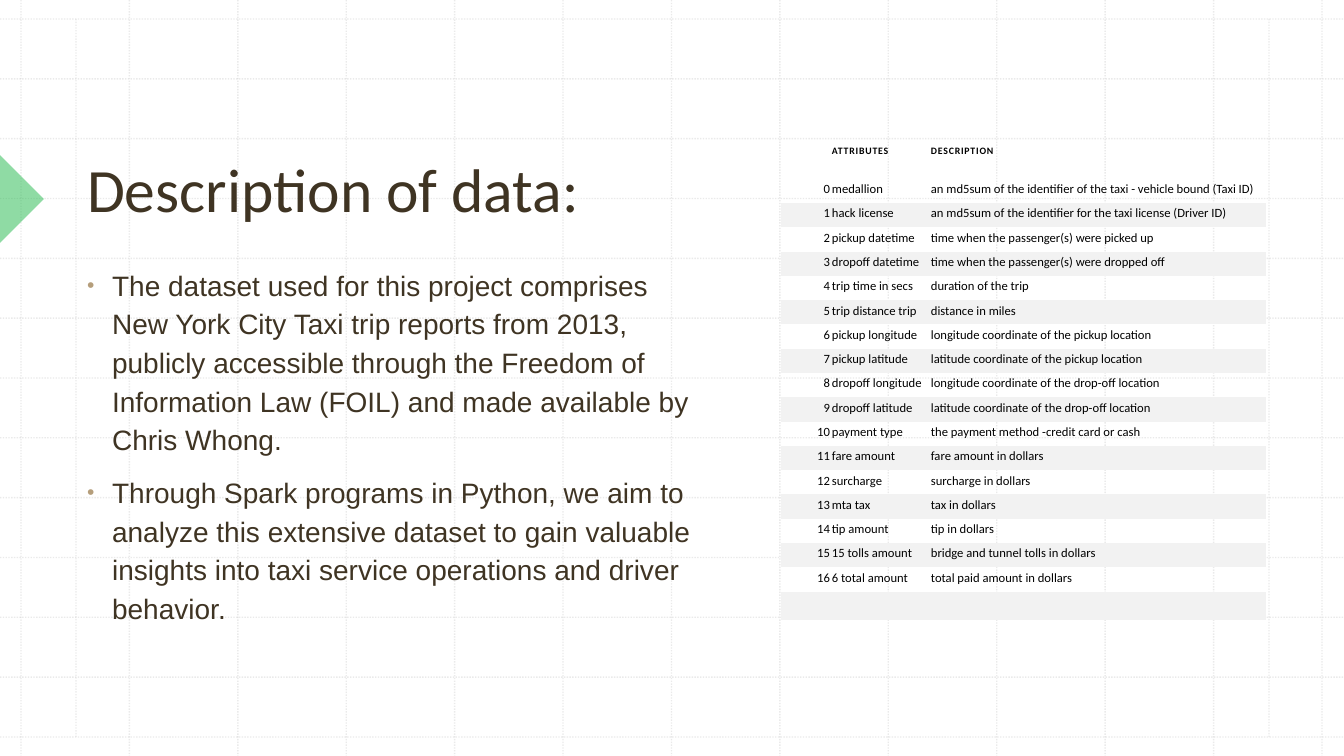
import dataclasses

import lxml.etree
import pptx
import pptx.dml.color
import pptx.enum.shapes
import pptx.enum.text
import pptx.oxml.ns
import pptx.util

TITLE = "Description of data:"
BULLETS = [
    "The dataset used for this project comprises New York City Taxi trip reports from 2013, "
    "publicly accessible through the Freedom of Information Law (FOIL) and made available by "
    "Chris Whong.",
    "Through Spark programs in Python, we aim to analyze this extensive dataset to gain valuable "
    "insights into taxi service operations and driver behavior.",
]
HEADER = ("", "ATTRIBUTES", "DESCRIPTION")
ATTRIBUTES = [
    ("medallion", "an md5sum of the identifier of the taxi - vehicle bound (Taxi ID)"),
    ("hack license", "an md5sum of the identifier for the taxi license (Driver ID)"),
    ("pickup datetime", "time when the passenger(s) were picked up"),
    ("dropoff datetime", "time when the passenger(s) were dropped off"),
    ("trip time in secs", "duration of the trip"),
    ("trip distance trip", "distance in miles"),
    ("pickup longitude", "longitude coordinate of the pickup location"),
    ("pickup latitude", "latitude coordinate of the pickup location"),
    ("dropoff longitude", "longitude coordinate of the drop-off location"),
    ("dropoff latitude", "latitude coordinate of the drop-off location"),
    ("payment type", "the payment method -credit card or cash"),
    ("fare amount", "fare amount in dollars"),
    ("surcharge", "surcharge in dollars"),
    ("mta tax", "tax in dollars"),
    ("tip amount", "tip in dollars"),
    ("15 tolls amount", "bridge and tunnel tolls in dollars"),
    ("6 total amount", "total paid amount in dollars"),
]

SLIDE_W, SLIDE_H = 1344, 756
GRID_LEFT, GRID_RIGHT, GRID_TOP, GRID_BOTTOM, GRID_STEPS = 21, 1322, 19, 737, 12
MARGIN_LINES = (76, 1269)
TABLE_LEFT, TABLE_TOP = 781, 137
COLUMNS = (50, 99, 336)
HEADER_H, FIRST_H, LAST_H, BANDS_H = 26, 40, 28, 389
NO_STYLE_NO_GRID = "{2D5ABB26-0587-4C30-8999-92F81FD0307C}"


@dataclasses.dataclass(frozen=True)
class Theme:
    text: str = "3F3423"
    bullet: str = "B59E7B"
    grid: str = "BCBCBC"
    accent: str = "21B94B"
    table_text: str = "000000"
    band: str = "F2F2F2"
    heading_font: str = "Calibri"
    body_font: str = "Arial"
    title_size: int = 44
    body_size: int = 20
    header_size: int = 7
    cell_size: int = 9


THEME = Theme()
RIGHT = pptx.enum.text.PP_ALIGN.RIGHT
LEFT = pptx.enum.text.PP_ALIGN.LEFT
BOTTOM = pptx.enum.text.MSO_ANCHOR.BOTTOM


def px(n):
    return pptx.util.Emu(round(n * 914400 / 100.8))


def rgb(color):
    return pptx.dml.color.RGBColor.from_string(color)


def sub(parent, tag, **attrs):
    return lxml.etree.SubElement(parent, pptx.oxml.ns.qn(tag), **attrs)


def set_alpha(fill_parent, percent):
    color = next(fill_parent.iter(pptx.oxml.ns.qn("a:srgbClr")))
    sub(color, "a:alpha", val=str(percent * 1000))


def write(p, text, size, font=THEME.heading_font, color=THEME.table_text,
          bold=False, align=LEFT, spacing=0):
    p.alignment = align
    if not text:
        sub(p._p, "a:endParaRPr", sz=str(size * 100))
        return
    r = p.add_run()
    r.text = text
    r.font.size = pptx.util.Pt(size)
    r.font.name = font
    r.font.bold = bold
    r.font.color.rgb = rgb(color)
    if spacing:
        r.font._element.set("spc", str(spacing))


def place(sp, left, top, width, height):
    sp.left, sp.top, sp.width, sp.height = px(left), px(top), px(width), px(height)
    sp.text_frame.word_wrap = True
    sp.text_frame.auto_size = pptx.enum.text.MSO_AUTO_SIZE.NONE


def add_title(s):
    sp = s.shapes.title
    place(sp, 77, 80, 641, 150)
    sp.text_frame.vertical_anchor = BOTTOM
    write(sp.text_frame.paragraphs[0], TITLE, THEME.title_size, color=THEME.text)


def add_bullets(s):
    sp = s.placeholders[1]
    place(sp, 77, 258, 641, 418)
    tf = sp.text_frame
    for i, text in enumerate(BULLETS):
        p = tf.add_paragraph() if i else tf.paragraphs[0]
        pPr = p._p.get_or_add_pPr()
        pPr.set("marL", str(px(25)))
        pPr.set("indent", str(-px(25)))
        sub(sub(pPr, "a:buClr"), "a:srgbClr", val=THEME.bullet)
        sub(pPr, "a:buSzPct", val="75000")
        sub(pPr, "a:buFont", typeface=THEME.body_font)
        sub(pPr, "a:buChar", char="•")
        p.line_spacing = 1.15
        p.space_before = pptx.util.Pt(10 if i else 0)
        write(p, text, THEME.body_size, font=THEME.body_font, color=THEME.text)


def add_grid(s):
    """Draw the dotted grid as one group behind the text."""
    grid = s.shapes.add_group_shape()
    x_step = (GRID_RIGHT - GRID_LEFT) / GRID_STEPS
    y_step = (GRID_BOTTOM - GRID_TOP) / GRID_STEPS
    lines = []
    for i in range(GRID_STEPS + 1):
        x, y = GRID_LEFT + i * x_step, GRID_TOP + i * y_step
        lines += [(x, 0, x, SLIDE_H), (0, y, SLIDE_W, y)]
    lines += [(x, GRID_TOP, x, GRID_BOTTOM) for x in MARGIN_LINES]
    for ends in lines:
        line = grid.shapes.add_connector(
            pptx.enum.shapes.MSO_CONNECTOR.STRAIGHT, *map(px, ends))
        line.line.color.rgb = rgb(THEME.grid)
        line.line.width = pptx.util.Pt(1)
        line.line.dash_style = pptx.enum.dml.MSO_LINE.ROUND_DOT
        spPr = line._element.spPr
        set_alpha(spPr, 30)
        sub(spPr, "a:effectLst")
    s.shapes.title._element.addprevious(grid._element)


def add_marker(s):
    sp = s.shapes.add_shape(pptx.enum.shapes.MSO_SHAPE.RIGHT_TRIANGLE,
                            px(-31), px(168), px(62), px(62))
    sp.rotation = 225
    sp.shadow.inherit = False
    sp.fill.solid()
    sp.fill.fore_color.rgb = rgb(THEME.accent)
    set_alpha(sp._element.spPr, 50)
    sp.line.fill.background()


def add_attribute_table(s):
    numbered = [(str(i), *row) for i, row in enumerate(ATTRIBUTES)]
    rows = [HEADER, *numbered, ("", "", "")]
    bands = len(ATTRIBUTES) - 1
    heights = [HEADER_H, FIRST_H] + [BANDS_H / bands] * bands + [LAST_H]
    frame = s.shapes.add_table(len(rows), len(COLUMNS), px(TABLE_LEFT), px(TABLE_TOP),
                               px(sum(COLUMNS)), px(sum(heights)))
    table = frame.table
    table.first_row = table.horz_banding = False
    table._tbl.tblPr.find(pptx.oxml.ns.qn("a:tableStyleId")).text = NO_STYLE_NO_GRID
    for column, width in zip(table.columns, COLUMNS):
        column.width = px(width)
    for r, (row, height) in enumerate(zip(rows, heights)):
        table.rows[r].height = px(height)
        header = r == 0
        for c, text in enumerate(row):
            cell = table.cell(r, c)
            cell.vertical_anchor = BOTTOM
            cell.margin_left = cell.margin_right = px(1)
            cell.margin_top, cell.margin_bottom = px(6 if header else 1), px(6)
            if r > 1 and r % 2 == 0:
                cell.fill.solid()
                cell.fill.fore_color.rgb = rgb(THEME.band)
            else:
                cell.fill.background()
            write(cell.text_frame.paragraphs[0], text,
                  THEME.header_size if header else THEME.cell_size,
                  bold=header, spacing=60 if header else 0, align=LEFT if c else RIGHT)


def main():
    prs = pptx.Presentation()
    prs.slide_width, prs.slide_height = px(SLIDE_W), px(SLIDE_H)
    s = prs.slides.add_slide(prs.slide_layouts[1])
    add_title(s)
    add_bullets(s)
    add_grid(s)
    add_marker(s)
    add_attribute_table(s)
    prs.save("out.pptx")


if __name__ == "__main__":
    main()
